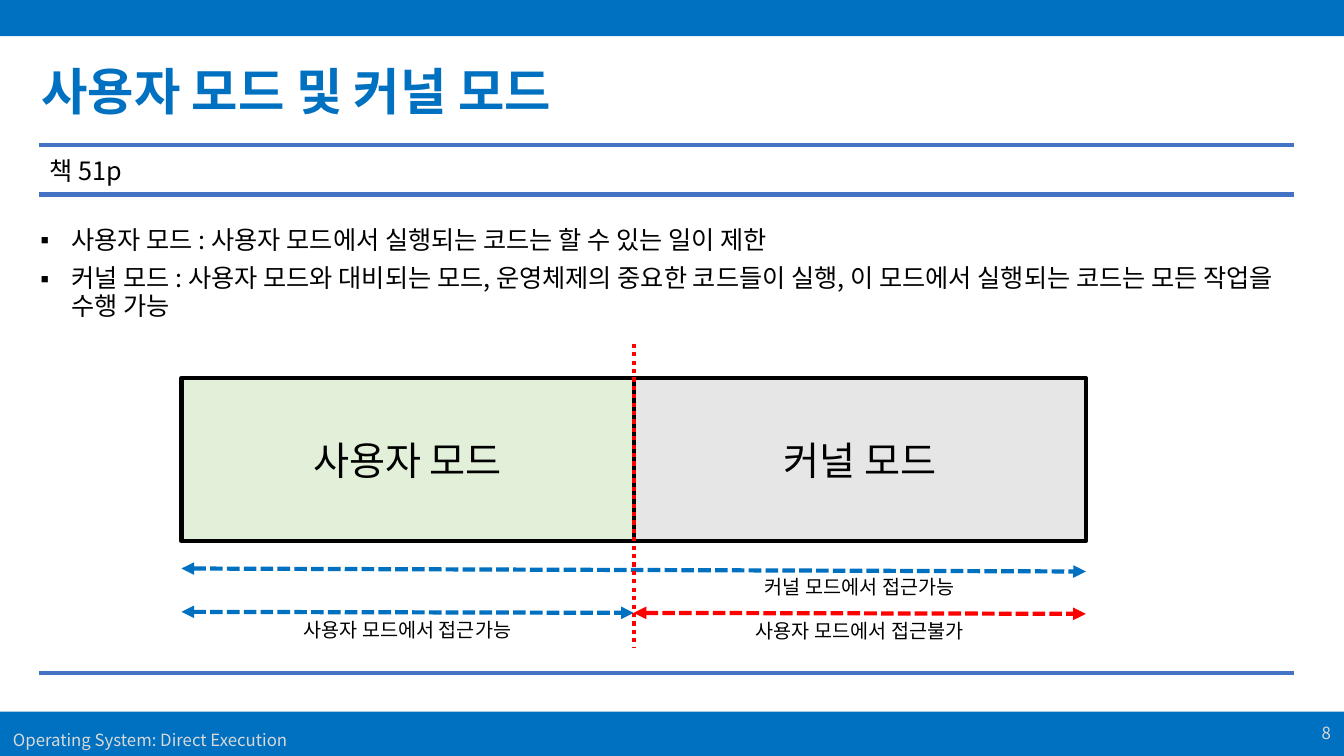
from dataclasses import dataclass

from pptx import Presentation
from pptx.dml.color import RGBColor
from pptx.enum.dml import MSO_LINE_DASH_STYLE as Dash
from pptx.enum.shapes import MSO_CONNECTOR_TYPE as Connector, MSO_SHAPE as Shape
from pptx.enum.text import MSO_ANCHOR as Anchor, MSO_AUTO_SIZE as AutoSize, PP_ALIGN as Align
from pptx.oxml.ns import qn
from pptx.util import Inches, Pt
from lxml.etree import SubElement


@dataclass(frozen=True)
class Theme:
    font: str = "Noto Sans CJK KR"
    blue: str = "0070C0"
    rule: str = "4472C4"
    red: str = "FF0000"
    black: str = "000000"
    muted: str = "D9D9D9"
    user: str = "E2F0D9"
    kernel: str = "E7E6E6"
    title_size: int = 36
    mode_size: int = 28
    body_size: int = 18
    label_size: int = 14
    footer_size: int = 12
    line_width: int = 3


THEME = Theme()
WIDTH, HEIGHT = 13.33, 7.5


def color(value):
    return RGBColor.from_string(value)


def set_values(target, values):
    for name, value in values.items():
        setattr(target, name, value)


def place(shape, box):
    set_values(shape, dict(zip(("left", "top", "width", "height"), map(Inches, box))))


def write(shape, lines, size, ink, align=Align.LEFT, anchor=Anchor.TOP, bold=False, bullet=None):
    frame = shape.text_frame
    set_values(frame, {"word_wrap": True, "auto_size": AutoSize.NONE, "vertical_anchor": anchor})
    frame.text = "\n".join(lines)
    for paragraph in frame.paragraphs:
        set_values(paragraph, {"alignment": align, "space_before": Pt(0)})
        if bullet:
            set_values(paragraph, {"line_spacing": 0.9, "space_after": Pt(8)})
            properties = paragraph._p.get_or_add_pPr()
            properties.set("marL", str(Inches(0.31)))
            properties.set("indent", str(-Inches(0.31)))
            SubElement(properties, qn("a:buChar")).set("char", bullet)
        for run in paragraph.runs:
            set_values(run.font, {"name": THEME.font, "size": Pt(size), "bold": bold})
            run.font.color.rgb = color(ink)
            SubElement(run._r.get_or_add_rPr(), qn("a:ea")).set("typeface", THEME.font)


def add_text(slide, box, text, size, ink, **options):
    shape = slide.shapes.add_textbox(*map(Inches, box))
    write(shape, [text], size, ink, **options)


def add_rectangle(slide, box, fill, outline=None):
    shape = slide.shapes.add_shape(Shape.RECTANGLE, *map(Inches, box))
    shape.shadow.inherit = False
    shape.fill.solid()
    shape.fill.fore_color.rgb = color(fill)
    if outline:
        shape.line.color.rgb = color(outline)
        shape.line.width = Pt(THEME.line_width)
    else:
        shape.line.fill.background()
    return shape


def add_line(slide, start, end, ink, dash=None, arrows=False):
    line = slide.shapes.add_connector(Connector.STRAIGHT, *map(Inches, (*start, *end)))
    set_values(line.line, {"width": Pt(THEME.line_width), "dash_style": dash})
    line.line.color.rgb = color(ink)
    if arrows:
        for tag in ("a:headEnd", "a:tailEnd"):
            SubElement(line.line._get_or_add_ln(), qn(tag)).set("type", "triangle")
    SubElement(line._element.spPr, qn("a:effectLst"))


def add_bands(slide, box, footer, number):
    left, top, width, height = box
    band = 0.44
    add_rectangle(slide, (left, top - 0.08, width, band), THEME.blue)
    add_rectangle(slide, (left, top + height - band, width, band), THEME.blue)
    add_text(slide, (left + 0.03, top + height - 0.36, 3, 0.4), footer,
             THEME.footer_size, THEME.muted, anchor=Anchor.MIDDLE)
    add_text(slide, (left + width - 3.03, top + height - 0.43, 3, 0.4), number,
             THEME.footer_size, THEME.muted, align=Align.RIGHT, anchor=Anchor.MIDDLE)


def add_heading(slide, box, title, reference):
    left, top, width, height = box
    place(slide.shapes.title, (left - 0.08, top, width, 0.71))
    write(slide.shapes.title, [title], THEME.title_size, THEME.blue, bold=True)
    # Rules around the page reference, and above the footer
    for offset in (0.89, 1.38, height):
        add_line(slide, (left, top + offset), (left + width, top + offset), THEME.rule)
    add_text(slide, (left, top + 0.94, 1.15, 0.4), reference, THEME.body_size, THEME.black)


def add_points(slide, box, points):
    body = slide.placeholders[1]
    place(body, box)
    write(body, points, THEME.body_size, THEME.black, bullet="▪")


def add_mode_diagram(slide, box):
    left, top, width, height = box
    half = width / 2
    middle, right = left + half, left + width

    # Mode blocks
    modes = (("사용자 모드", THEME.user), ("커널 모드", THEME.kernel))
    for index, (name, fill) in enumerate(modes):
        block = add_rectangle(slide, (left + index * half, top + 0.34, half, 1.62), fill, THEME.black)
        write(block, [name], THEME.mode_size, THEME.black, align=Align.CENTER, anchor=Anchor.MIDDLE)

    # Access ranges: start, end, drop at each end, colour, label, label centre
    ranges = (
        (left, right, 2.23, 2.26, THEME.blue, "커널 모드에서 접근가능", middle + half / 2),
        (left, middle, 2.66, 2.67, THEME.blue, "사용자 모드에서 접근가능", left + half / 2),
        (middle, right, 2.67, 2.68, THEME.red, "사용자 모드에서 접근불가", middle + half / 2),
    )
    for start, end, drop, end_drop, ink, label, center in ranges:
        add_line(slide, (start, top + drop), (end, top + end_drop), ink, Dash.SQUARE_DOT, arrows=True)
        add_text(slide, (center - 1.68, top + drop + 0.01, 3.36, 0.34), label,
                 THEME.label_size, THEME.black, align=Align.CENTER)

    # Boundary between the modes
    add_line(slide, (middle, top), (middle, top + height), THEME.red, Dash.ROUND_DOT)


def main():
    presentation = Presentation()
    set_values(presentation, {"slide_width": Inches(WIDTH), "slide_height": Inches(HEIGHT)})
    slide = presentation.slides.add_slide(presentation.slide_layouts[1])
    add_bands(slide, (0, 0, WIDTH, HEIGHT), "Operating System: Direct Execution", "8")
    add_heading(slide, (0.39, 0.55, 12.44, 6.13), "사용자 모드 및 커널 모드", "책 51p")
    add_points(slide, (0.3, 2.21, 12.43, 1.12), [
        "사용자 모드 : 사용자 모드에서 실행되는 코드는 할 수 있는 일이 제한",
        "커널 모드 : 사용자 모드와 대비되는 모드, 운영체제의 중요한 코드들이 실행, "
        "이 모드에서 실행되는 코드는 모든 작업을 수행 가능",
    ])
    add_mode_diagram(slide, (1.8, 3.41, 8.97, 3.01))
    presentation.save("out.pptx")


if __name__ == "__main__":
    main()
